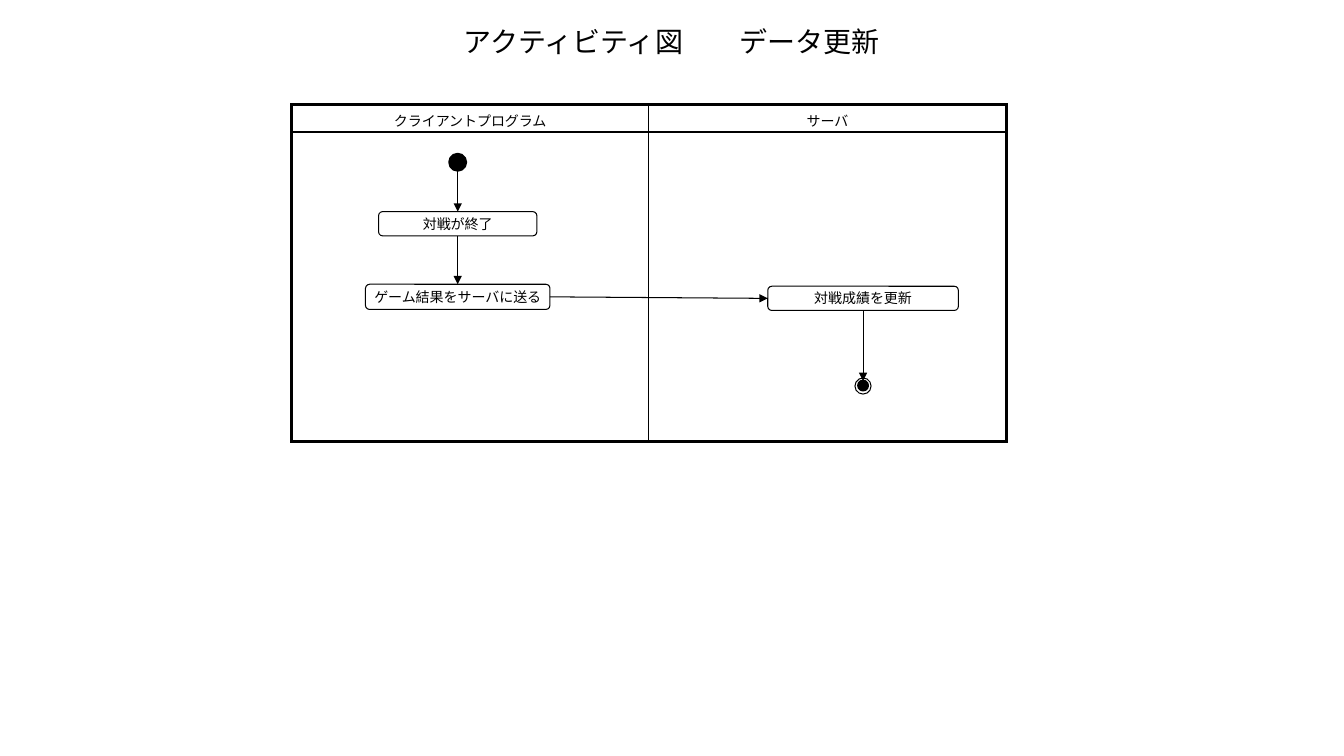
from dataclasses import dataclass

from pptx import Presentation
from pptx.dml.color import RGBColor as Rgb
from pptx.enum.shapes import MSO_CONNECTOR as Conn, MSO_SHAPE as Kind
from pptx.enum.text import MSO_ANCHOR as Anchor, PP_ALIGN as Align
from pptx.oxml.ns import qn
from pptx.util import Inches, Pt
from lxml.etree import SubElement as Sub


@dataclass(frozen=True)
class Theme:
    """Colours, font, type sizes and line widths (points)."""
    ink: Rgb = Rgb(0, 0, 0)
    paper: Rgb = Rgb(255, 255, 255)
    font: str = "Times New Roman"
    head: int = 20
    body: int = 10
    thin: float = 0.75
    rule: float = 1
    bold: float = 2
    frame: float = 2.25


THEME = Theme()
LANES = ["クライアントプログラム", "サーバ"]
LEFT_X, RIGHT_X = 4.54, 8.56  # centre line of the flow in each lane
TOP, LEFT, BOTTOM, RIGHT = range(4)  # connection sites of a box
DOT_BOTTOM = 4  # a circle has eight sites; its top is also 0


def write(frame, text, size):
    """Put centred text in a text frame."""
    frame.text = text
    para = frame.paragraphs[0]
    para.alignment = Align.CENTER
    font = para.runs[0].font
    font.name, font.size = THEME.font, Pt(size)
    font.color.rgb = THEME.ink
    return para


def add_title(slide, text):
    """Add the heading of the slide."""
    box = slide.shapes.add_textbox(Inches(1.66), Inches(0.2), Inches(10), Inches(0.41))
    frame = box.text_frame
    frame.word_wrap = True
    frame.vertical_anchor = Anchor.MIDDLE
    write(frame, text, THEME.head)


def set_edge(cell, side, width):
    """Draw one border of a cell."""
    edge = Sub(cell._tc.get_or_add_tcPr(), qn(f"a:ln{side}"), w=str(Pt(width)))
    fill = Sub(edge, qn("a:solidFill"))
    Sub(fill, qn("a:srgbClr"), val=str(THEME.ink))


def add_lanes(slide, names):
    """Add the swimlane table: heavy outer frame, light inner rules."""
    rows, cols = 2, len(names)
    table = slide.shapes.add_table(rows, cols, Inches(2.89), Inches(1.04),
                                   Inches(7.09), Inches(3.34)).table
    table.first_row = table.horz_banding = False
    for row, high in zip(table.rows, (0.27, 3.07)):
        row.height = Inches(high)
    for r in range(rows):
        for c in range(cols):
            cell = table.cell(r, c)
            outer = {"L": c == 0, "R": c == cols - 1, "T": r == 0, "B": r == rows - 1}
            for side, heavy in outer.items():
                set_edge(cell, side, THEME.frame if heavy else THEME.rule)
            cell.fill.background()
    for c, name in enumerate(names):
        para = write(table.cell(0, c).text_frame, name, THEME.body)
        para.space_before = Pt(0.2 * THEME.body)


def add_node(shapes, kind, mid, top, wide, high, fill, line):
    """Add a filled, outlined shape centred on mid."""
    node = shapes.add_shape(kind, Inches(mid - wide / 2), Inches(top),
                            Inches(wide), Inches(high))
    node.shadow.inherit = False
    node.fill.solid()
    node.fill.fore_color.rgb = fill
    node.line.color.rgb = THEME.ink
    node.line.width = Pt(line)
    return node


def add_step(slide, text, mid, top, wide, high=0.24):
    """Add an activity box with its label."""
    box = add_node(slide.shapes, Kind.ROUNDED_RECTANGLE, mid, top, wide, high,
                   THEME.paper, THEME.thin)
    frame = box.text_frame
    frame.word_wrap = False
    frame.vertical_anchor = Anchor.MIDDLE
    write(frame, text, THEME.body)
    return box


def add_dot(shapes, mid, top, size):
    """Add a solid black circle."""
    return add_node(shapes, Kind.OVAL, mid, top, size, size, THEME.ink, THEME.bold)


def add_end(slide, mid, top):
    """Add the final state, a dot in a ring, and return the dot."""
    shapes = slide.shapes.add_group_shape().shapes
    add_node(shapes, Kind.OVAL, mid, top, 0.16, 0.16, THEME.paper, THEME.thin)
    return add_dot(shapes, mid, top + 0.03, 0.09)


def add_link(slide, start, out, end, into):
    """Join two nodes with an arrow glued to their sites."""
    link = slide.shapes.add_connector(Conn.STRAIGHT, 0, 0, 0, 0)
    link.begin_connect(start, out)
    link.end_connect(end, into)
    link.line.color.rgb = THEME.ink
    link.line.width = Pt(THEME.thin)
    Sub(link.line._get_or_add_ln(), qn("a:tailEnd"), type="triangle")
    Sub(link._element.spPr, qn("a:effectLst"))
    return link


def main():
    """Build and save the activity diagram."""
    deck = Presentation()
    deck.slide_width, deck.slide_height = Inches(13.33), Inches(7.5)
    slide = deck.slides.add_slide(deck.slide_layouts[6])
    add_title(slide, "アクティビティ図\u3000\u3000データ更新")
    add_lanes(slide, LANES)

    start = add_dot(slide.shapes, LEFT_X, 1.53, 0.16)
    over = add_step(slide, "対戦が終了", LEFT_X, 2.1, 1.57)
    send = add_step(slide, "ゲーム結果をサーバに送る", LEFT_X, 2.82, 1.83, 0.25)
    update = add_step(slide, "対戦成績を更新", RIGHT_X, 2.84, 1.89)
    end = add_end(slide, RIGHT_X, 3.75)

    first = add_link(slide, start, BOTTOM, over, TOP)
    glue = next(first._element.iter(qn("a:stCxn")))
    glue.set("idx", str(DOT_BOTTOM))
    add_link(slide, over, BOTTOM, send, TOP)
    add_link(slide, send, RIGHT, update, LEFT)
    add_link(slide, update, BOTTOM, end, TOP)
    deck.save("out.pptx")


main()
